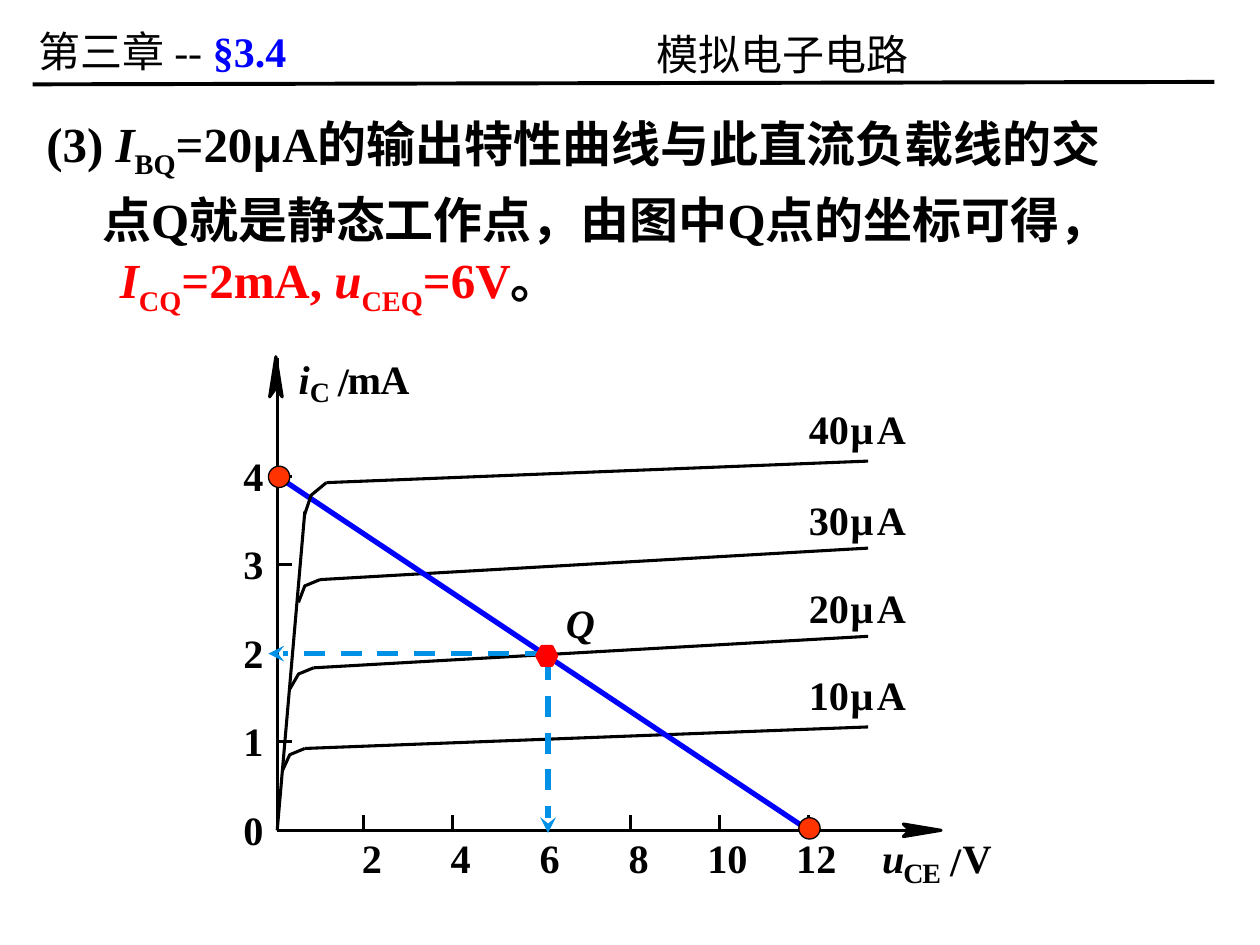
from lxml import etree
from pptx import Presentation
from pptx.dml.color import RGBColor
from pptx.enum.dml import MSO_LINE
from pptx.enum.shapes import MSO_CONNECTOR, MSO_SHAPE
from pptx.enum.text import MSO_AUTO_SIZE, PP_ALIGN
from pptx.oxml.ns import qn
from pptx.util import Pt

C = {"black": "000000", "blue": "0000FF", "red": "FF0000",
     "orange": "FF3300", "sky": "0090E5"}
SERIF, CJK = "Times New Roman", "Noto Sans CJK SC"

prs = Presentation()
prs.slide_width, prs.slide_height = Pt(720), Pt(540)
s = prs.slides.add_slide(prs.slide_layouts[6])


def line(x1, y1, x2, y2, color="black", width=1.75, arrow=False):
    c = s.shapes.add_connector(MSO_CONNECTOR.STRAIGHT, Pt(x1), Pt(y1), Pt(x2), Pt(y2))
    c.line.color.rgb = RGBColor.from_string(C[color])
    c.line.width = Pt(width)
    if arrow:
        c.line.dash_style = MSO_LINE.DASH
        etree.SubElement(c.line._get_or_add_ln(), qn("a:tailEnd"), type="stealth")
    etree.SubElement(c._element.spPr, qn("a:effectLst"))


def label(text, x, y, w, size=23, italic=False):
    box = s.shapes.add_textbox(Pt(x), Pt(y), Pt(w), Pt(size * 1.2))
    tf = box.text_frame
    tf.margin_left = tf.margin_right = tf.margin_top = tf.margin_bottom = 0
    tf.word_wrap = False
    tf.auto_size = MSO_AUTO_SIZE.SHAPE_TO_FIT_TEXT
    tf.text = text
    p = tf.paragraphs[0]
    p.alignment = PP_ALIGN.CENTER
    f = p.runs[0].font
    f.name, f.size, f.bold, f.italic = SERIF, Pt(size), True, italic
    f.color.rgb = RGBColor.from_string(C["black"])


# Axes, ticks and scale numbers
X0, Y0, STEP_X, STEP_Y = 158.4, 474.5, 50.8, 50.6
DIGIT = 12.5
line(X0, Y0, 521.3, Y0)
line(X0, Y0, X0, 204.5)
for i in range(6):
    tick = 208 + i * STEP_X
    if i != 2:
        line(tick, Y0, tick, Y0 - 8.6)
    number = str(2 * i + 2)
    w = DIGIT * len(number)
    label(number, 212.5 + i * STEP_X - w / 2, 476, w)
for i in range(5):
    tick = Y0 - i * STEP_Y
    if i in (1, 3, 4):
        line(X0, tick, X0 + 8.6, tick)
    label(str(i), 138.5, 460.2 - i * STEP_Y, DIGIT)

# Axis titles
for text, x, y, w, size, italic in [
    ("u", 504, 476, 13, 23, True), ("C", 516.2, 489, 11.5, 16, False),
    ("E", 527, 489, 10.8, 16, False), ("/", 542.9, 478, 6.5, 23, False),
    ("V", 550, 476, 16.6, 23, False),
    ("i", 170.6, 202.3, 6.5, 23, True), ("C", 177.1, 213.8, 11.5, 16, False),
    ("/", 193, 203.8, 6.5, 23, False), ("m", 198.7, 202.3, 19.2, 23, False),
    ("A", 217.4, 202.3, 16.6, 23, False),
]:
    label(text, x, y, w, size, italic)

# Output curves: base current, label top, knee points, right end
curves = [
    ("40", 231.1, [(174.2, 293.8), (177.8, 283), (186.5, 275.8)], 263.5),
    ("30", 283, [(170.6, 344.2), (174.2, 334.8), (182.9, 331.2)], 313.2),
    ("20", 333.4, [(165.6, 393.8), (170.6, 385.2), (179.3, 381.6)], 363.6),
    ("10", 383, [(161.3, 440.6), (165.6, 431.3), (174.2, 427.7)], 415.4),
]
line(X0, Y0, 174.2, 292.3)
for current, top, knee, end in curves:
    line(*knee[-1], 496.1, end)
    for text, x, w in [(current, 461.2, 2 * DIGIT), ("μ", 486, 13), ("A", 501.1, 16.6)]:
        label(text, x, top, w)
label("Q", 323.3, 342, 16.6, italic=True)

# Load line with its end points, and guides from Q
line(X0, 272.1, 462.2, Y0, "blue", 3)
for x, y in [(456.5, 467.3), (153.4, 266.4)]:
    dot = s.shapes.add_shape(MSO_SHAPE.OVAL, Pt(x), Pt(y), Pt(12.2), Pt(12.2))
    dot.shadow.inherit = False
    dot.fill.solid()
    dot.fill.fore_color.rgb = RGBColor.from_string(C["orange"])
    dot.line.color.rgb = RGBColor.from_string(C["black"])
    dot.line.width = Pt(0.75)
line(311.8, 373.5, 153.4, 373.5, "sky", 3, True)
line(313.2, 376.6, 313.2, 476, "sky", 3, True)

# Curve knees (open), axis arrowheads and the Q marker (closed)
outlines = [(knee, None) for _, _, knee, _ in curves] + [
    ([(516.2, 478.1), (519.8, 474.5), (516.2, 470.9), (537.8, 474.5)], "black"),
    ([(161.3, 226.8), (157.7, 221.8), (154.1, 226.8), (157.7, 203.8)], "black"),
    ([(306.7, 374.8), (309.6, 369.4), (315.4, 369.4),
      (318.2, 374.8), (315.4, 380.2), (309.6, 380.2)], "red"),
]
for points, fill in outlines:
    pts = [(Pt(x), Pt(y)) for x, y in points]
    fb = s.shapes.build_freeform(*pts[0])
    fb.add_line_segments(pts[1:], close=fill is not None)
    sp = fb.convert_to_shape()
    sp.shadow.inherit = False
    if fill:
        sp.fill.solid()
        sp.fill.fore_color.rgb = RGBColor.from_string(C[fill])
    else:
        sp.fill.background()
    sp.line.color.rgb = RGBColor.from_string(C[fill or "black"])
    sp.line.width = Pt(1.75)

# Header rule
line(18.7, 48.2, 694, 46.8, width=2.25)

# Header and body text; run: text, font, colour, bold, italic, subscript
body = [
    (0, [("(3) ", SERIF, "black", 1, 0, 0), ("I", SERIF, "black", 1, 1, 0),
         ("BQ", SERIF, "black", 1, 0, 1), ("=20", SERIF, "black", 1, 0, 0),
         ("μ", "Arial", "black", 1, 0, 0),
         ("A的输出特性曲线与此直流负载线的交", SERIF, "black", 1, 0, 0)]),
    (32, [("点Q就是静态工作点，由图中Q点的坐标可得，", SERIF, "black", 1, 0, 0)]),
    (42, [("I", SERIF, "red", 1, 1, 0), ("CQ", SERIF, "red", 1, 0, 1),
          ("=2mA, ", SERIF, "red", 1, 0, 0), ("u", SERIF, "red", 1, 1, 0),
          ("CEQ", SERIF, "red", 1, 0, 1), ("=6V", SERIF, "red", 1, 0, 0),
          ("。", SERIF, "black", 1, 0, 0)]),
]
course = [(0, [("模拟电子电路", CJK, "black", 0, 0, 0)])]
chapter = [(0, [("第三章 ", CJK, "black", 0, 0, 0), ("-- ", SERIF, "black", 0, 0, 0),
                ("§3.4", SERIF, "blue", 1, 0, 0)])]
for x, y, w, h, size, spacing, align, wrap, paragraphs in [
    (19.4, 60.5, 669, 175.7, 28, Pt(39), PP_ALIGN.JUSTIFY, True, body),
    (367.9, 7.2, 158.4, 41.8, 24, 1.2, PP_ALIGN.LEFT, False, course),
    (15.1, 5, 176.4, 41.8, 24, 1.2, PP_ALIGN.LEFT, False, chapter),
]:
    tf = s.shapes.add_textbox(Pt(x), Pt(y), Pt(w), Pt(h)).text_frame
    tf.word_wrap = wrap
    tf.auto_size = MSO_AUTO_SIZE.SHAPE_TO_FIT_TEXT
    for i, (indent, runs) in enumerate(paragraphs):
        p = tf.add_paragraph() if i else tf.paragraphs[0]
        p.alignment, p.line_spacing = align, spacing
        if indent:
            p._p.get_or_add_pPr().set("marL", str(Pt(indent)))
        for text, font, color, bold, italic, sub in runs:
            r = p.add_run()
            r.text = text
            f = r.font
            f.name, f.size, f.bold, f.italic = font, Pt(size), bool(bold), bool(italic)
            f.color.rgb = RGBColor.from_string(C[color])
            rPr = r._r.get_or_add_rPr()
            etree.SubElement(rPr, qn("a:ea"), typeface=CJK)
            if sub:
                rPr.set("baseline", "-25000")

prs.save("out.pptx")
